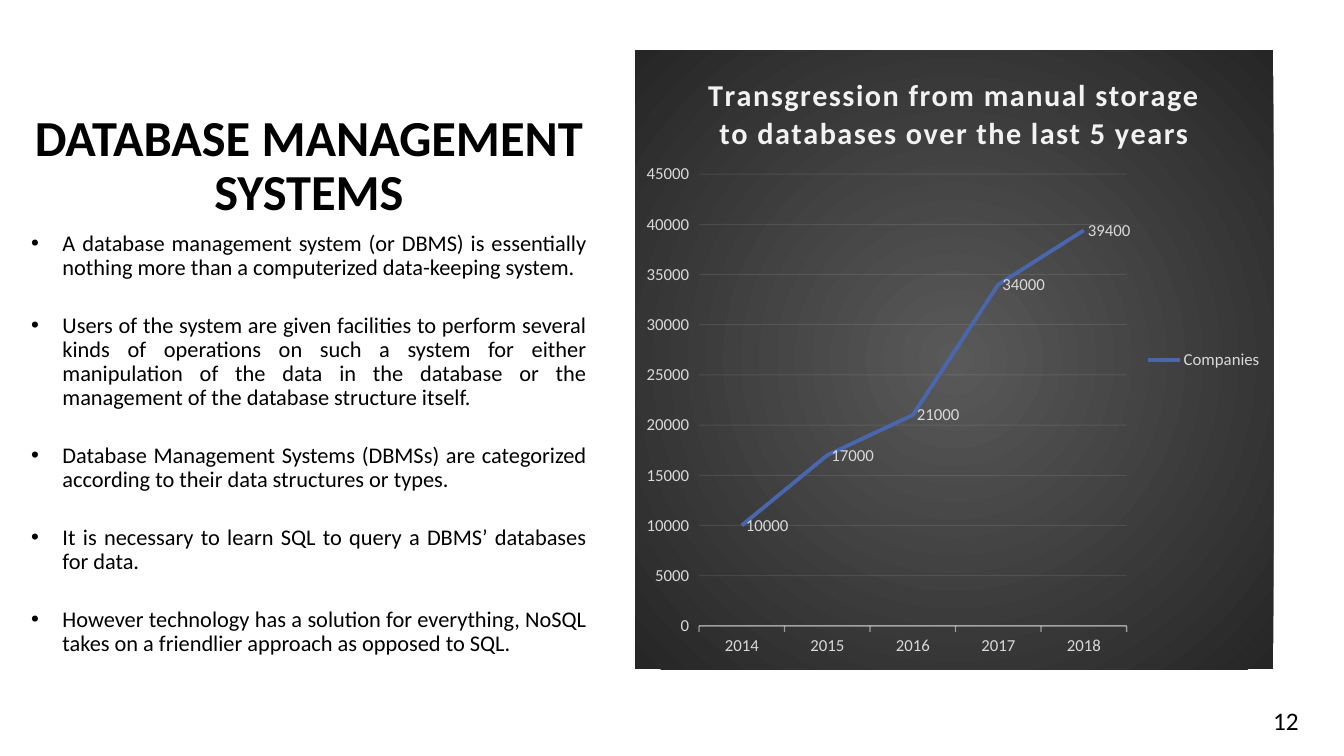
"""Build a slide on database management systems with a line chart."""
from dataclasses import dataclass

from lxml import etree
from pptx import Presentation
from pptx.chart.data import CategoryChartData
from pptx.dml.color import RGBColor
from pptx.enum.chart import XL_CHART_TYPE, XL_LABEL_POSITION, XL_LEGEND_POSITION, XL_TICK_MARK
from pptx.enum.text import MSO_ANCHOR, MSO_AUTO_SIZE, PP_ALIGN
from pptx.oxml import parse_xml
from pptx.oxml.ns import nsdecls, qn
from pptx.util import Inches, Pt

LINE_CHART = XL_CHART_TYPE.LINE
LABEL_RIGHT = XL_LABEL_POSITION.RIGHT
LEGEND_RIGHT = XL_LEGEND_POSITION.RIGHT
TICK_OUTSIDE = XL_TICK_MARK.OUTSIDE
TICK_NONE = XL_TICK_MARK.NONE
TOP, MIDDLE, BOTTOM = MSO_ANCHOR.TOP, MSO_ANCHOR.MIDDLE, MSO_ANCHOR.BOTTOM
NO_AUTOFIT = MSO_AUTO_SIZE.NONE
CENTER, JUSTIFY, RIGHT = PP_ALIGN.CENTER, PP_ALIGN.JUSTIFY, PP_ALIGN.RIGHT

FONT = "Calibri"
BLACK, PALE, GREY, BLUE = "000000", "F2F2F2", "D9D9D9", "4A66AC"
BULLET_INDENT = Inches(0.31)

TITLE = "DATABASE MANAGEMENT SYSTEMS"
POINTS = [
    "A database management system (or DBMS) is essentially nothing more than a "
    "computerized data-keeping system.",
    "Users of the system are given facilities to perform several kinds of operations on such "
    "a system for either manipulation of the data in the database or the management of the "
    "database structure itself.",
    "Database Management Systems (DBMSs) are categorized according to their data structures "
    "or types.",
    "It is necessary to learn SQL to query a DBMS’ databases for data.",
    "However technology has a solution for everything, NoSQL takes on a friendlier approach "
    "as opposed to SQL.",
]
CHART_TITLE = "Transgression from manual storage to databases over the last 5 years"
COMPANIES = {"2014": 10000, "2015": 17000, "2016": 21000, "2017": 34000, "2018": 39400}


@dataclass(frozen=True)
class Box:
    """Position and size in inches."""

    left: float
    top: float
    width: float
    height: float

    def lengths(self):
        """Return left, top, width and height as lengths."""
        return [Inches(value) for value in (self.left, self.top, self.width, self.height)]


TITLE_BOX = Box(0.31, 0.5, 5.51, 1.75)
BODY_BOX = Box(0.31, 2.25, 5.51, 4.39)
CHART_BOX = Box(6.3, 0.5, 6.33, 6.14)
NUMBER_BOX = Box(9.98, 6.95, 3, 0.4)


def color(value: str) -> RGBColor:
    """Turn a hex string into a colour."""
    return RGBColor.from_string(value)


def format_font(font, size: float, value: str, bold: bool = False) -> None:
    """Set family, size, colour and weight."""
    font.name = FONT
    font.size = Pt(size)
    font.bold = bold
    font.color.rgb = color(value)


def add_bullet(paragraph) -> None:
    """Give a paragraph a hanging bullet."""
    properties = paragraph._p.get_or_add_pPr()
    properties.set("marL", str(BULLET_INDENT))
    properties.set("indent", str(-BULLET_INDENT))
    etree.SubElement(properties, qn("a:buFont")).set("typeface", "Arial")
    etree.SubElement(properties, qn("a:buChar")).set("char", "•")


def write_text(shape, box: Box, texts: list[str], *, size: float, align, anchor,
               inset: float = 0, bold: bool = False, bullets: bool = False,
               line_spacing: float = 1, gap: float = 0) -> None:
    """Place a shape and fill it with formatted paragraphs."""
    shape.left, shape.top, shape.width, shape.height = box.lengths()
    frame = shape.text_frame
    frame.word_wrap = True
    frame.auto_size = NO_AUTOFIT
    frame.vertical_anchor = anchor
    frame.margin_left = frame.margin_right = Inches(inset)
    frame.margin_top = frame.margin_bottom = Inches(0.05)
    for index, text in enumerate(texts):
        paragraph = frame.add_paragraph() if index else frame.paragraphs[0]
        paragraph.alignment = align
        paragraph.line_spacing = line_spacing
        paragraph.space_before = Pt(gap if index else 0)
        if bullets:
            add_bullet(paragraph)
        run = paragraph.add_run()
        run.text = text
        format_font(run.font, size, BLACK, bold)


def format_line(line, value: str, width: float, opacity: int = 100) -> None:
    """Set colour, width and opacity percentage of a line."""
    line.width = Pt(width)
    line.color.rgb = color(value)
    if opacity < 100:
        fill = line._ln.find(f".//{qn('a:srgbClr')}")
        etree.SubElement(fill, qn("a:alpha")).set("val", str(opacity * 1000))


def fill_chart(chart) -> None:
    """Fill the chart area with a circular gradient."""
    chart._chartSpace.find(qn("c:chart")).addnext(parse_xml(
        f'<c:spPr {nsdecls("c", "a")}><a:gradFill><a:gsLst>'
        '<a:gs pos="0"><a:srgbClr val="595959"/></a:gs>'
        '<a:gs pos="100000"><a:srgbClr val="262626"/></a:gs></a:gsLst>'
        '<a:path path="circle"><a:fillToRect l="50000" t="50000" r="50000" b="50000"/></a:path>'
        '</a:gradFill><a:ln><a:noFill/></a:ln></c:spPr>'))


def place_plot(chart, **fractions: float) -> None:
    """Place the inner plot area by fractions of the chart."""
    plot_area = chart._chartSpace.find(f".//{qn('c:plotArea')}")
    for old in plot_area.findall(qn("c:layout")):
        plot_area.remove(old)
    settings = {"layoutTarget": "inner", "xMode": "edge", "yMode": "edge", **fractions}
    children = "".join(f'<c:{name} val="{value}"/>' for name, value in settings.items())
    plot_area.insert(0, parse_xml(
        f'<c:layout {nsdecls("c")}><c:manualLayout>{children}</c:manualLayout></c:layout>'))


def add_company_chart(slide) -> None:
    """Add the line chart of companies by year."""
    data = CategoryChartData()
    data.categories = list(COMPANIES)
    data.add_series("Companies", list(COMPANIES.values()))
    chart = slide.shapes.add_chart(LINE_CHART, *CHART_BOX.lengths(), data).chart
    format_font(chart.font, 12, GREY)
    fill_chart(chart)
    place_plot(chart, x=0.1, y=0.2, w=0.67, h=0.73)

    chart.has_title = True
    run = chart.chart_title.text_frame.paragraphs[0].add_run()
    run.text = CHART_TITLE
    format_font(run.font, 21.6, PALE, bold=True)
    run.font._element.set("spc", "100")
    chart.chart_title.include_in_layout = False

    chart.has_legend = True
    chart.legend.position = LEGEND_RIGHT
    chart.legend.include_in_layout = False
    format_font(chart.legend.font, 12, GREY)

    for axis in (chart.category_axis, chart.value_axis):
        axis.major_tick_mark = TICK_OUTSIDE
        axis.minor_tick_mark = TICK_NONE
        format_font(axis.tick_labels.font, 12, GREY)
    format_line(chart.category_axis.format.line, PALE, 1, 54)
    chart.value_axis.format.line.fill.background()
    chart.value_axis.minimum_scale = 0
    chart.value_axis.maximum_scale = 45000
    chart.value_axis.major_unit = 5000
    format_line(chart.value_axis.major_gridlines.format.line, PALE, 0.75, 10)

    plot = chart.plots[0]
    plot.vary_by_categories = False
    series = plot.series[0]
    series.smooth = False
    format_line(series.format.line, BLUE, 2.75)
    labels = series.data_labels
    labels.show_value = True
    labels.position = LABEL_RIGHT
    format_font(labels.font, 12, GREY)


def main() -> None:
    """Build and save the presentation."""
    presentation = Presentation()
    presentation.slide_width, presentation.slide_height = Inches(13.33), Inches(7.5)
    slide = presentation.slides.add_slide(presentation.slide_layouts[5])
    write_text(slide.shapes.title, TITLE_BOX, [TITLE], size=36, align=CENTER, anchor=BOTTOM,
               bold=True, line_spacing=0.9)
    write_text(slide.shapes.add_textbox(*BODY_BOX.lengths()), BODY_BOX, POINTS, size=16,
               align=JUSTIFY, anchor=TOP, bullets=True, line_spacing=0.9, gap=24)
    add_company_chart(slide)
    write_text(slide.shapes.add_textbox(*NUMBER_BOX.lengths()), NUMBER_BOX, ["12"], size=18,
               align=RIGHT, anchor=MIDDLE, inset=0.1)
    presentation.save("out.pptx")


if __name__ == "__main__":
    main()
